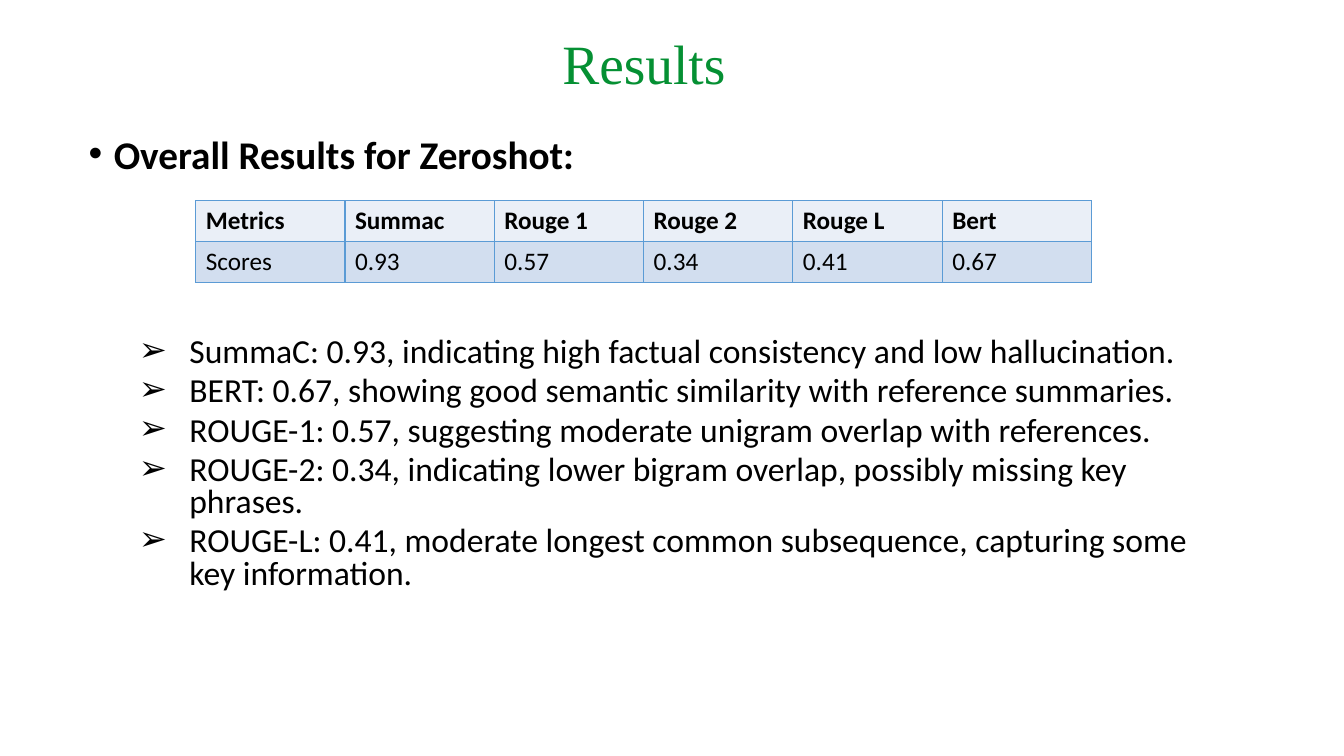
"""Build the Results slide with a zero-shot score table and its findings."""
from lxml import etree
from pptx import Presentation
from pptx.dml.color import RGBColor
from pptx.enum.text import MSO_ANCHOR as Anchor, PP_ALIGN as Align
from pptx.oxml.ns import qn
from pptx.util import Pt

GREEN = RGBColor(0x05, 0x90, 0x33)
BLACK = RGBColor(0, 0, 0)
BORDER = RGBColor(0x5B, 0x9B, 0xD5)
ROW_FILLS = [RGBColor(0xEA, 0xEF, 0xF7), RGBColor(0xD2, 0xDE, 0xEF)]

TITLE = "Results"
HEADING = "Overall Results for Zeroshot:"
SCORES = [
    ("Metrics", "Summac", "Rouge 1", "Rouge 2", "Rouge L", "Bert"),
    ("Scores", "0.93", "0.57", "0.34", "0.41", "0.67"),
]
FINDINGS = [
    "SummaC: 0.93, indicating high factual consistency and low hallucination.",
    "BERT: 0.67, showing good semantic similarity with reference summaries.",
    "ROUGE-1: 0.57, suggesting moderate unigram overlap with references.",
    "ROUGE-2: 0.34, indicating lower bigram overlap, possibly missing key phrases.",
    "ROUGE-L: 0.41, moderate longest common subsequence, capturing some key information.",
]

TITLE_FORMAT = {"size": Pt(39.6), "name": "Times New Roman"}
HEADING_FORMAT = {"size": Pt(28), "name": "Calibri", "bold": True}
FINDING_FORMAT = {"size": Pt(24), "name": "Calibri", "bold": False}
TABLE_GAP, FINDING_GAP = 115, 5
COLUMN_WIDTH, ROW_HEIGHT = 106.65, 29.2


def write(para, text, values, color=BLACK):
    span = para.add_run()
    span.text = text
    for name, value in values.items():
        setattr(span.font, name, value)
    span.font.color.rgb = color


def add_box(page, left, top, width, height):
    box = page.shapes.add_textbox(Pt(left), Pt(top), Pt(width), Pt(height))
    box.text_frame.word_wrap = True
    return box.text_frame


def add_bullet(para, mark, margin, hanging):
    properties = para._p.get_or_add_pPr()
    properties.set("marL", str(Pt(margin)))
    properties.set("indent", str(Pt(-hanging)))
    etree.SubElement(properties, qn("a:buFont"), typeface="Arial")
    etree.SubElement(properties, qn("a:buChar"), char=mark)


def add_borders(cell):
    properties = cell._tc.get_or_add_tcPr()
    for position, side in enumerate(("lnL", "lnR", "lnT", "lnB")):
        line = etree.Element(qn(f"a:{side}"), w=str(Pt(1)))
        fill = etree.SubElement(line, qn("a:solidFill"))
        etree.SubElement(fill, qn("a:srgbClr"), val=str(BORDER))
        properties.insert(position, line)


def add_title(page):
    frame = add_box(page, 46, 21.6, 828, 51.8)
    frame.vertical_anchor = Anchor.MIDDLE
    para = frame.paragraphs[0]
    para.alignment, para.line_spacing = Align.CENTER, 0.9
    write(para, TITLE, TITLE_FORMAT, GREEN)


def add_body(page):
    frame = add_box(page, 56.2, 95.8, 828, 342.7)
    para = frame.paragraphs[0]
    para.line_spacing = 0.8
    add_bullet(para, "•", 18, 18)
    write(para, HEADING, HEADING_FORMAT)
    for number, finding in enumerate(FINDINGS):
        para = frame.add_paragraph()
        para.line_spacing = 0.8
        para.space_before = Pt(FINDING_GAP if number else TABLE_GAP)
        add_bullet(para, "➢", 72, 36)
        write(para, finding, FINDING_FORMAT)


def add_scores(page):
    rows, columns = len(SCORES), len(SCORES[0])
    table = page.shapes.add_table(
        rows, columns, Pt(139.8), Pt(143.3),
        Pt(columns * COLUMN_WIDTH), Pt(rows * ROW_HEIGHT)).table
    for row, (values, fill) in enumerate(zip(SCORES, ROW_FILLS)):
        for column, value in enumerate(values):
            cell = table.cell(row, column)
            cell.fill.solid()
            cell.fill.fore_color.rgb = fill
            add_borders(cell)
            write(cell.text_frame.paragraphs[0], value,
                  {"size": Pt(18), "name": "Calibri", "bold": row == 0})


def main():
    deck = Presentation()
    deck.slide_width, deck.slide_height = Pt(960), Pt(540)
    page = deck.slides.add_slide(deck.slide_layouts[6])
    add_title(page)
    add_body(page)
    add_scores(page)
    deck.save("out.pptx")


if __name__ == "__main__":
    main()
